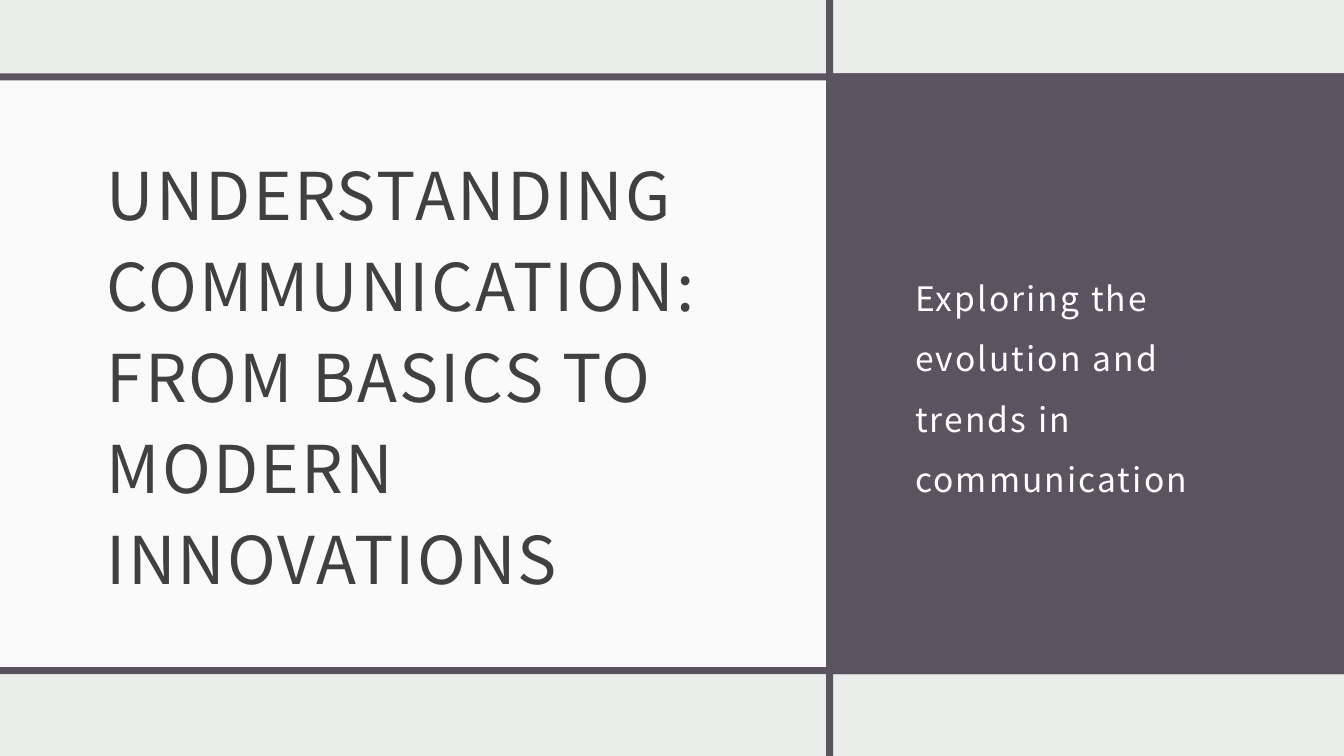
import pptx
import pptx.util
import pptx.dml.color
import pptx.enum.shapes
import pptx.enum.text
from lxml import etree
from pptx.util import Cm, Pt

COLOURS = {
    "backdrop": "EBEDEB",
    "panel": "FFFFFF",
    "plum": "595460",
    "title": "404040",
    "subtitle": "FFFFFF",
}
FONT = "Noto Sans CJK JP"
SLIDE_WIDTH, SLIDE_HEIGHT = 33.87, 19.05
BAND_TOP, BAND_HEIGHT = 1.85, 15.14
DIVIDER_LEFT = 20.82
RULE = 0.18


def rgb(key):
    return pptx.dml.color.RGBColor.from_string(COLOURS[key])


def add_block(slide, left, top, width, height, colour, opacity=100):
    block = slide.shapes.add_shape(
        pptx.enum.shapes.MSO_SHAPE.RECTANGLE,
        Cm(left), Cm(top), Cm(width), Cm(height))
    block.shadow.inherit = False
    block.fill.solid()
    block.fill.fore_color.rgb = rgb(colour)
    block.line.fill.background()
    if opacity < 100:
        tint = block.fill._xPr.find(".//" + pptx.oxml.ns.qn("a:srgbClr"))
        alpha = etree.SubElement(tint, pptx.oxml.ns.qn("a:alpha"))
        alpha.set("val", str(opacity * 1000))


def add_copy(slide, left, top, width, height, words, size, colour, line_spacing):
    frame = slide.shapes.add_textbox(
        Cm(left), Cm(top), Cm(width), Cm(height)).text_frame
    frame.word_wrap = True
    frame.vertical_anchor = pptx.enum.text.MSO_ANCHOR.MIDDLE
    frame.margin_left = frame.margin_right = frame.margin_top = Cm(0.3)
    frame.margin_bottom = Cm(0.25)
    paragraph = frame.paragraphs[0]
    paragraph.line_spacing = line_spacing
    run = paragraph.add_run()
    run.text = words
    run.font.name = FONT
    run.font.size = Pt(size)
    run.font.color.rgb = rgb(colour)
    run.font._element.set("spc", "150")


def main():
    deck = pptx.Presentation()
    deck.slide_width = Cm(SLIDE_WIDTH)
    deck.slide_height = Cm(SLIDE_HEIGHT)
    slide = deck.slides.add_slide(deck.slide_layouts[6])
    slide.background.fill.solid()
    slide.background.fill.fore_color.rgb = rgb("backdrop")

    add_block(slide, 0, BAND_TOP, DIVIDER_LEFT, BAND_HEIGHT, "panel", 75)
    add_copy(slide, 2.39, 3.3, 16.69, 12.01,
             "UNDERSTANDING COMMUNICATION: FROM BASICS TO MODERN INNOVATIONS",
             47, "title", 1.15)
    add_block(slide, DIVIDER_LEFT, BAND_TOP,
              SLIDE_WIDTH - DIVIDER_LEFT, BAND_HEIGHT, "plum")
    add_copy(slide, 22.76, 4.37, 9.32, 10.29,
             "Exploring the evolution and trends in communication",
             24, "subtitle", 1.5)

    add_block(slide, DIVIDER_LEFT, 0, RULE, SLIDE_HEIGHT, "plum")
    for rule_top in (BAND_TOP, BAND_TOP + BAND_HEIGHT - RULE):
        add_block(slide, 0, rule_top, SLIDE_WIDTH, RULE, "plum")

    deck.save("out.pptx")


if __name__ == "__main__":
    main()
